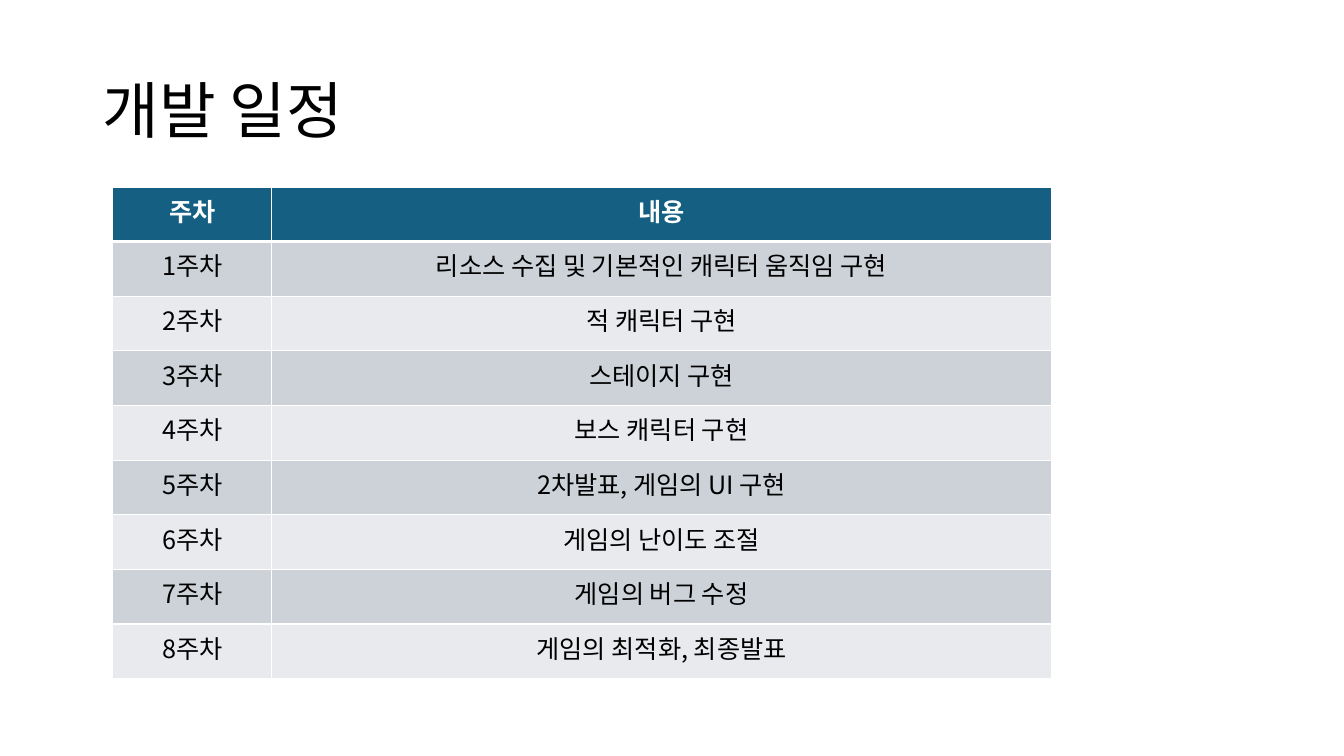
from lxml import etree
from pptx import Presentation
from pptx.dml.color import RGBColor
from pptx.enum.text import MSO_ANCHOR, PP_ALIGN
from pptx.oxml.ns import qn
from pptx.util import Cm, Pt

LEFT, CENTER = PP_ALIGN.LEFT, PP_ALIGN.CENTER
MIDDLE = MSO_ANCHOR.MIDDLE
TITLE_ONLY = 5
FONT = "Noto Sans CJK KR"
COLORS = {
    "text": "000000",
    "header_text": "FFFFFF",
    "header": "156082",
    "odd_row": "CCD2D8",
    "even_row": "E8EAED",
    "border": "FFFFFF",
}

HEADINGS = ("주차", "내용")
WEEKLY_TASKS = (
    "리소스 수집 및 기본적인 캐릭터 움직임 구현",
    "적 캐릭터 구현",
    "스테이지 구현",
    "보스 캐릭터 구현",
    "2차발표, 게임의 UI 구현",
    "게임의 난이도 조절",
    "게임의 버그 수정",
    "게임의 최적화, 최종발표",
)


def add_run(paragraph, text, size, color, bold=False):
    run = paragraph.add_run()
    run.text = text
    font = run.font
    font.size = Pt(size)
    font.bold = bold
    font.color.rgb = RGBColor.from_string(COLORS[color])
    font.name = FONT
    # Korean glyphs take the East Asian typeface
    etree.SubElement(run._r.get_or_add_rPr(), qn("a:ea"), typeface=FONT)


def set_borders(cell, widths):
    """Draw solid borders; widths maps a side (L, R, T, B) to points."""
    properties = cell._tc.get_or_add_tcPr()
    for side, width in widths.items():
        line = etree.SubElement(properties, qn(f"a:ln{side}"), w=str(Pt(width)))
        fill = etree.SubElement(line, qn("a:solidFill"))
        etree.SubElement(fill, qn("a:srgbClr"), val=COLORS["border"])


def place_title(slide, text, left, top, width, height):
    title = slide.shapes.title
    title.left, title.top, title.width, title.height = left, top, width, height
    title.text_frame.vertical_anchor = MIDDLE
    paragraph = title.text_frame.paragraphs[0]
    paragraph.alignment = LEFT
    paragraph.line_spacing = 0.9
    add_run(paragraph, text, 44, "text")


def add_schedule(slide, left, top, width, height):
    rows = [HEADINGS]
    rows += [(f"{week}주차", task) for week, task in enumerate(WEEKLY_TASKS, 1)]
    table = slide.shapes.add_table(
        len(rows), len(HEADINGS), left, top, width, height).table

    # Narrow week column, the rest for the content
    week_width = Cm(4.01)
    table.columns[0].width = week_width
    table.columns[1].width = width - week_width

    for row_index, texts in enumerate(rows):
        is_header = row_index == 0
        if is_header:
            fill_color = "header"
        else:
            fill_color = "odd_row" if row_index % 2 else "even_row"
        widths = {
            "L": 1,
            "R": 1,
            "T": 3 if row_index == 1 else 1,
            "B": 3 if is_header else 1,
        }
        for column_index, text in enumerate(texts):
            cell = table.cell(row_index, column_index)
            set_borders(cell, widths)
            cell.fill.solid()
            cell.fill.fore_color.rgb = RGBColor.from_string(COLORS[fill_color])
            paragraph = cell.text_frame.paragraphs[0]
            paragraph.alignment = CENTER
            add_run(paragraph, text, 18,
                    "header_text" if is_header else "text", is_header)


def main():
    presentation = Presentation()
    presentation.slide_width = Cm(33.87)
    presentation.slide_height = Cm(19.05)
    slide = presentation.slides.add_slide(presentation.slide_layouts[TITLE_ONLY])

    place_title(slide, "개발 일정", Cm(2.33), Cm(1.01), Cm(29.21), Cm(3.68))
    add_schedule(slide, Cm(2.84), Cm(4.71), Cm(23.65), Cm(12.4))

    presentation.save("out.pptx")


if __name__ == "__main__":
    main()
